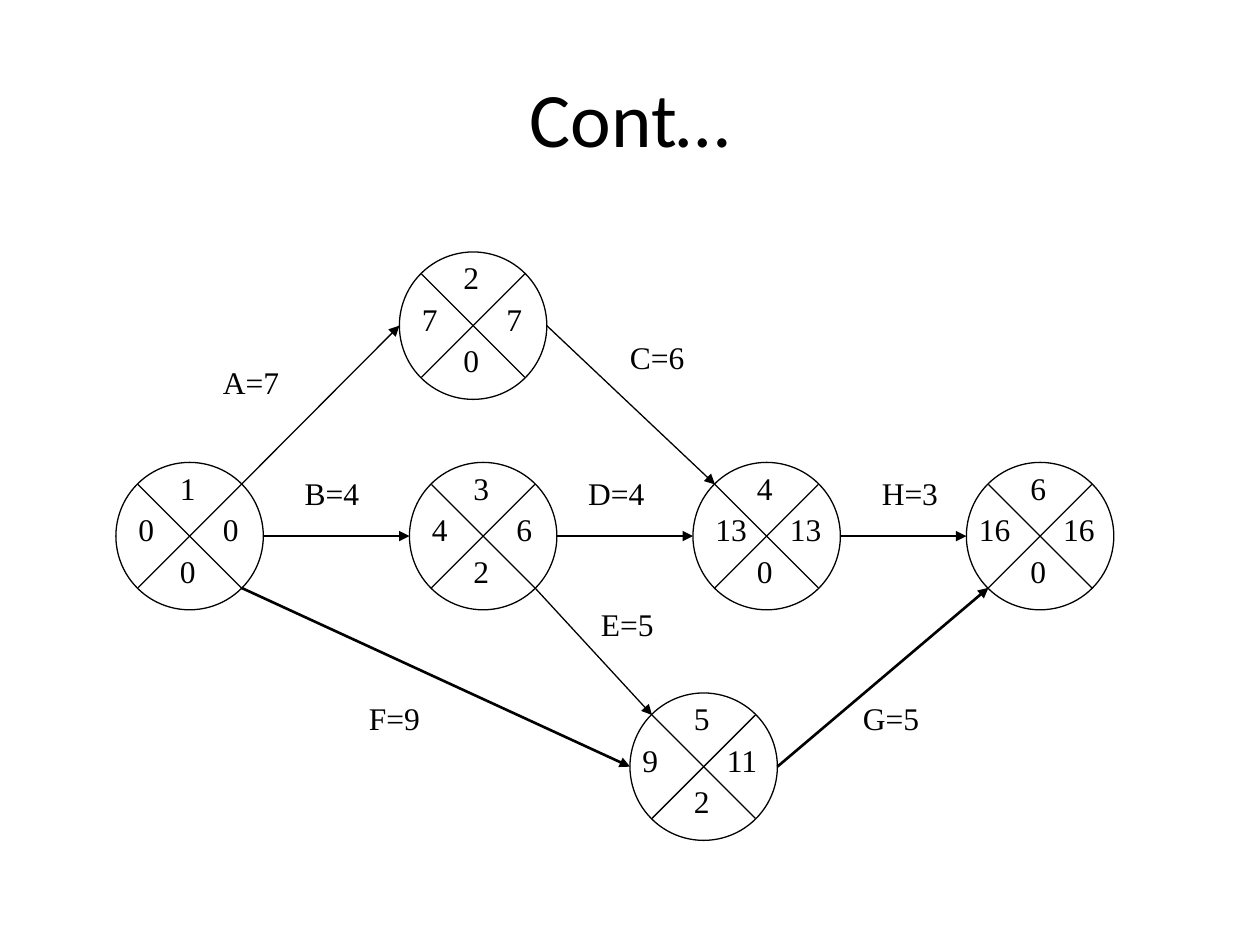
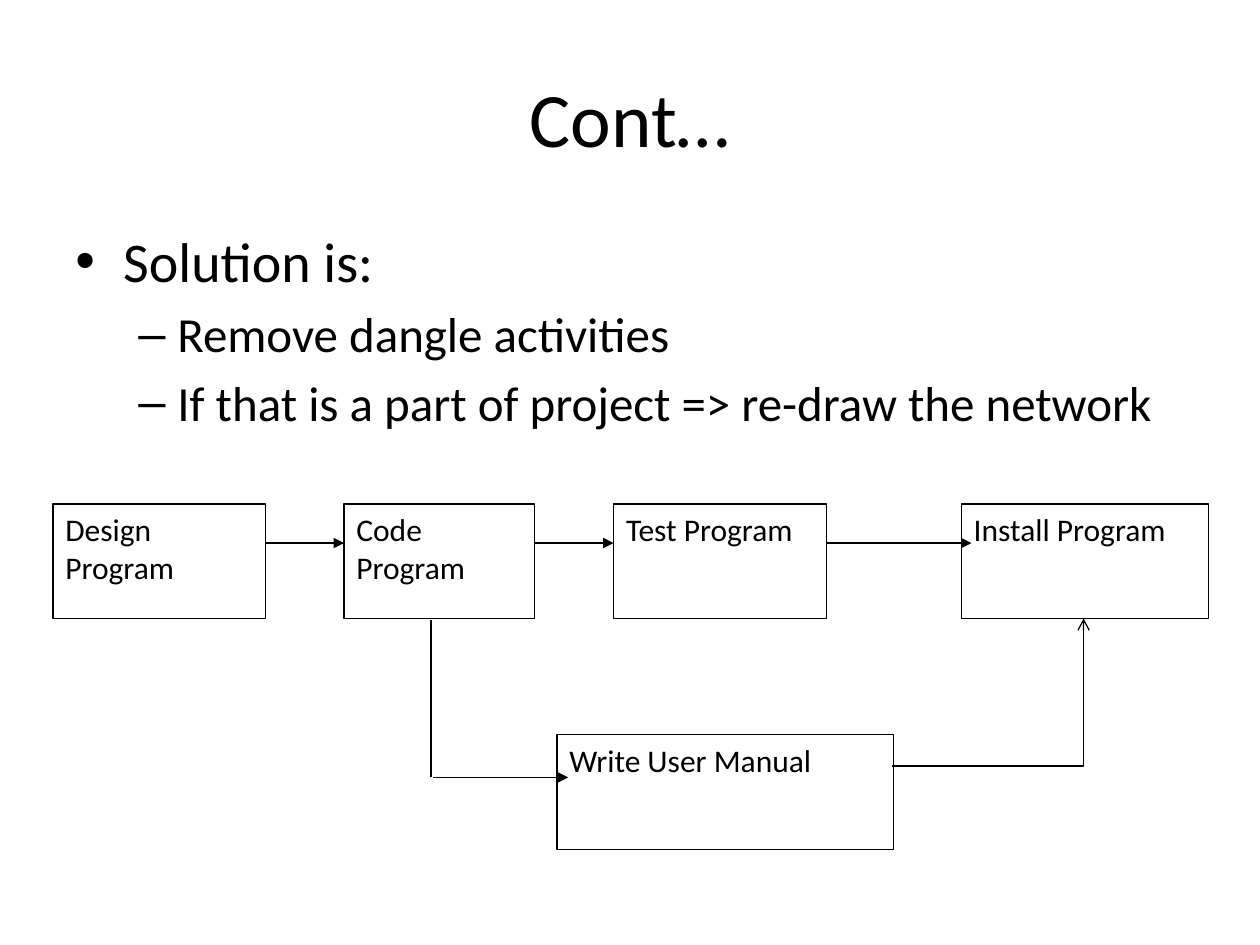
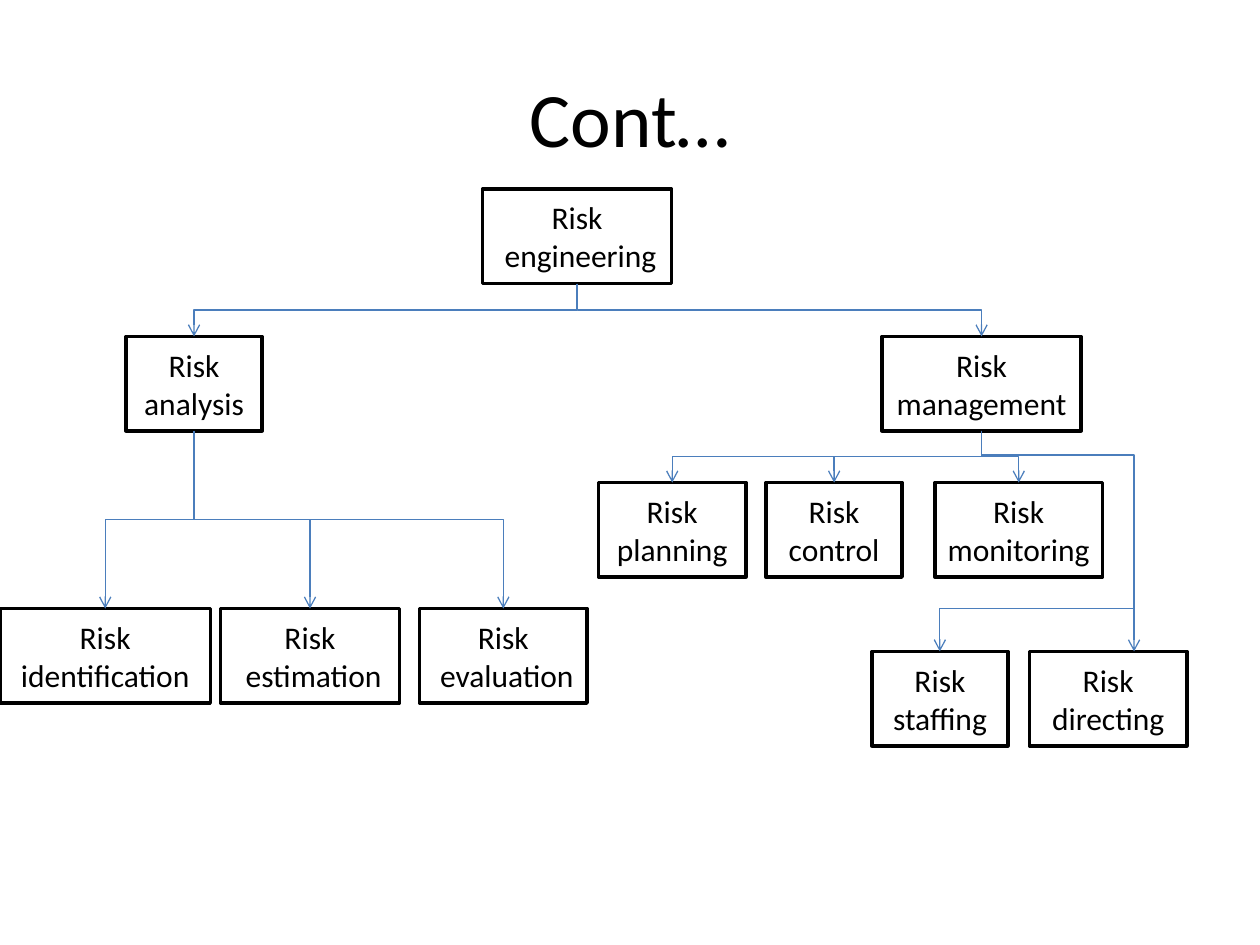
from lxml.etree import SubElement
from pptx import Presentation
from pptx.dml.color import RGBColor
from pptx.enum.shapes import MSO_CONNECTOR, MSO_SHAPE
from pptx.enum.text import MSO_ANCHOR, MSO_AUTO_SIZE, PP_ALIGN
from pptx.oxml.ns import qn
from pptx.util import Inches, Pt

COLORS = {"ink": "000000", "branch": "4B7EBC"}
BODY_FONT = {"name": "Calibri", "size": Pt(18)}
TITLE_FONT = {"name": "Calibri", "size": Pt(44)}
NODE_FONT = {"name": "Times New Roman", "size": Pt(18)}
CENTERED = {"alignment": PP_ALIGN.CENTER}
MIDDLE = {"vertical_anchor": MSO_ANCHOR.MIDDLE, "word_wrap": True}
TOP = {"vertical_anchor": MSO_ANCHOR.TOP, "word_wrap": True}
FIT = {"word_wrap": False, "auto_size": MSO_AUTO_SIZE.SHAPE_TO_FIT_TEXT}

DIAMETER = 1.17
RADIUS = DIAMETER / 2
DIAGONAL = 0.41  # from a circle's centre to the end of its cross, along each axis

# left, top, event number, earliest, latest, slack, inset of the earliest time
EVENTS = {
    1: (0.92, 3.67, "0", "0", "0", 0.08),
    2: (3.17, 2.0, "7", "7", "0", 0.08),
    3: (3.25, 3.67, "4", "6", "2", 0.08),
    4: (5.5, 3.67, "13", "13", "0", 0.08),
    5: (5.0, 5.5, "9", "11", "2", 0),
    6: (7.67, 3.67, "16", "16", "0", 0),
}
SIDES = {
    "left": (-RADIUS, 0), "right": (RADIUS, 0),
    "nw": (-DIAGONAL, -DIAGONAL), "ne": (DIAGONAL, -DIAGONAL),
    "sw": (-DIAGONAL, DIAGONAL), "se": (DIAGONAL, DIAGONAL),
}
# label, label place, start event and side, end event and side, line width
ACTIVITIES = [
    ("A=7", (1.67, 2.83), (1, "ne"), (2, "left"), 0.75),
    ("B=4", (2.32, 3.71), (1, "right"), (3, "left"), 0.75),
    ("C=6", (4.9, 2.63), (2, "right"), (4, "nw"), 0.75),
    ("D=4", (4.57, 3.71), (3, "right"), (4, "left"), 0.75),
    ("E=5", (4.67, 4.75), (3, "se"), (5, "nw"), 0.75),
    ("F=9", (2.83, 5.5), (1, "se"), (5, "left"), 1.5),
    ("G=5", (6.75, 5.5), (5, "right"), (6, "sw"), 1.5),
    ("H=3", (6.9, 3.71), (4, "right"), (6, "left"), 0.75),
]

STEP_HEIGHT = 0.91
STEPS = [
    ("Design Program", 0.42, 4, 1.69),
    ("Code Program", 2.73, 4, 1.51),
    ("Test Program", 4.87, 4, 1.69),
    ("Install Program", 7.63, 4, 1.96),
    ("Write User Manual", 4.42, 5.83, 2.67),
]
STEP_ARROWS = [(2.11, 2.73, 4.31), (4.24, 4.87, 4.31),
               (6.56, 7.71, 4.31), (3.44, 4.51, 6.17)]

RISK_HEIGHT = 0.75
# second line of the label: left, top, width
RISKS = {
    " engineering": (3.83, 1.5, 1.5),
    "management": (7, 2.67, 1.58),
    "analysis": (1, 2.67, 1.08),
    "staffing": (6.92, 5.17, 1.08),
    "directing": (8.17, 5.17, 1.25),
    "monitoring": (7.42, 3.83, 1.33),
    "control": (6.08, 3.83, 1.08),
    "planning": (4.75, 3.83, 1.17),
    " evaluation": (3.33, 4.83, 1.33),
    " estimation": (1.75, 4.83, 1.42),
    "identification": (0, 4.83, 1.67),
}
BRANCHES = {
    " engineering": ["analysis", "management"],
    "analysis": ["identification", " evaluation", " estimation"],
    "management": ["planning", "control", "monitoring"],
}


def apply(obj, fmt):
    for name, value in fmt.items():
        setattr(obj, name, value)


def rgb(key):
    return RGBColor.from_string(COLORS[key])


def fill_text(sp, lines, font, frame, para=None):
    tf = sp.text_frame
    apply(tf, frame)
    for i, line in enumerate(lines):
        p = tf.paragraphs[0] if i == 0 else tf.add_paragraph()
        apply(p, para or {})
        r = p.add_run()
        r.text = line
        apply(r.font, font)
        r.font.color.rgb = rgb("ink")


def add_text(s, box, lines, font, frame, para=None):
    sp = s.shapes.add_textbox(*map(Inches, box))
    fill_text(sp, lines, font, frame, para)
    return sp


def add_outline(s, kind, box, width=0.75):
    """Add an unfilled preset shape with a black outline."""
    sp = s.shapes.add_shape(kind, *map(Inches, box))
    sp.shadow.inherit = False
    sp.fill.background()
    sp.line.color.rgb = rgb("ink")
    sp.line.width = Pt(width)
    return sp


def add_line(s, start, end, head=None, width=0.75, color="ink",
             kind=MSO_CONNECTOR.STRAIGHT):
    c = s.shapes.add_connector(kind, *map(Inches, (*start, *end)))
    c.line.color.rgb = rgb(color)
    c.line.width = Pt(width)
    sp_pr = c._element.spPr
    if head:
        SubElement(sp_pr.find(qn("a:ln")), qn("a:tailEnd"), type=head)
    SubElement(sp_pr, qn("a:effectLst"))
    return c


def add_corner(s, start, end, color):
    """Add an arrow that runs sideways first and turns once."""
    c = add_line(s, start, end, "arrow", color=color, kind=MSO_CONNECTOR.ELBOW)
    c._element.spPr.find(qn("a:prstGeom")).set("prst", "bentConnector2")


def add_drop(s, start, end, bend=0.5):
    """Add an arrow that runs down, sideways at the bend, then down again."""
    (x1, y1), (x2, y2) = start, end
    cx, cy = (x1 + x2) / 2, (y1 + y2) / 2
    half_w, half_h = (y2 - y1) / 2, abs(x2 - x1) / 2
    rightward = x2 > x1
    if rightward:
        half_w = -half_w
    c = add_line(s, (cx - half_w, cy - half_h), (cx + half_w, cy + half_h),
                 "arrow", color="branch", kind=MSO_CONNECTOR.ELBOW)
    c.rotation = 270 if rightward else 90
    av = c._element.spPr.find(qn("a:prstGeom")).get_or_add_avLst()
    SubElement(av, qn("a:gd"), name="adj1", fmla=f"val {round(bend * 100000)}")


def add_slide(prs):
    s = prs.slides.add_slide(prs.slide_layouts[6])
    add_text(s, (0.5, 0.3, 9, 1.25), ["Cont…"], TITLE_FONT, MIDDLE, CENTERED)
    return s


def add_bullet(p, text, char, size, margin, indent):
    p_pr = p._p.get_or_add_pPr()
    p_pr.set("marL", str(Inches(margin)))
    p_pr.set("indent", str(Inches(-indent)))
    SubElement(p_pr, qn("a:buFont"), typeface="Arial")
    SubElement(p_pr, qn("a:buChar"), char=char)
    r = p.add_run()
    r.text = text
    apply(r.font, {"name": "Calibri", "size": Pt(size)})
    r.font.color.rgb = rgb("ink")


def add_event(s, number, left, top, earliest, latest, slack, inset):
    add_outline(s, MSO_SHAPE.OVAL, (left, top, DIAMETER, DIAMETER))
    for start, end in (("sw", "ne"), ("nw", "se")):
        add_line(s, event_point(number, start), event_point(number, end))
    latest_dx = 0.75 if len(latest) == 1 else 0.67
    for text, dx, dy in ((str(number), 0.41, 0), (slack, 0.41, 0.66),
                         (latest, latest_dx, 0.33), (earliest, inset, 0.33)):
        width = 0.21 + 0.16 * len(text)
        add_text(s, (left + dx, top + dy, width, 0.5), [text], NODE_FONT, FIT)


def event_point(number, side):
    left, top = EVENTS[number][:2]
    dx, dy = SIDES[side]
    return left + RADIUS + dx, top + RADIUS + dy


def build_network(prs):
    s = add_slide(prs)
    for number, event in EVENTS.items():
        add_event(s, number, *event)
    for label, place, start, end, width in ACTIVITIES:
        add_line(s, event_point(*start), event_point(*end), "triangle", width)
        add_text(s, (*place, 0.79, 0.5), [label], NODE_FONT, FIT)


def build_solution(prs):
    s = add_slide(prs)
    tf = s.shapes.add_textbox(*map(Inches, (0.5, 1.75, 9, 2.1))).text_frame
    tf.word_wrap = True
    add_bullet(tf.paragraphs[0], "Solution is:", "•", 32, 0.38, 0.38)
    for text in ("Remove dangle activities",
                 "If that is a part of project => re-draw the network"):
        p = tf.add_paragraph()
        apply(p, {"level": 1, "space_before": Pt(5.6)})
        add_bullet(p, text, "–", 28, 0.81, 0.31)
    for label, left, top, width in STEPS:
        sp = add_outline(s, MSO_SHAPE.RECTANGLE, (left, top, width, STEP_HEIGHT))
        fill_text(sp, [label], BODY_FONT, TOP, {"alignment": PP_ALIGN.LEFT})
    for x1, x2, y in STEP_ARROWS:
        add_line(s, (x1, y), (x2, y), "triangle")
    add_line(s, (3.42, 4.92), (3.42, 6.17))
    add_corner(s, (7.08, 6.08), (8.6, 4.91), "ink")


def risk_point(name, dy=0):
    left, top, width = RISKS[name]
    return left + width / 2, top + dy


def build_risk_tree(prs):
    s = add_slide(prs)
    for name, (left, top, width) in RISKS.items():
        sp = add_outline(s, MSO_SHAPE.RECTANGLE,
                         (left, top, width, RISK_HEIGHT), 2)
        fill_text(sp, ["Risk", name], BODY_FONT,
                  {**MIDDLE, "word_wrap": False}, CENTERED)
    for parent, children in BRANCHES.items():
        for child in children:
            add_drop(s, risk_point(parent, RISK_HEIGHT), risk_point(child))
    add_drop(s, risk_point("management", RISK_HEIGHT), (9, 5.17), 0.11)
    add_corner(s, (9, 4.83), risk_point("staffing"), "branch")


def main():
    prs = Presentation()
    prs.slide_width, prs.slide_height = Inches(10), Inches(7.5)
    build_network(prs)
    build_solution(prs)
    build_risk_tree(prs)
    prs.save("out.pptx")


if __name__ == "__main__":
    main()
